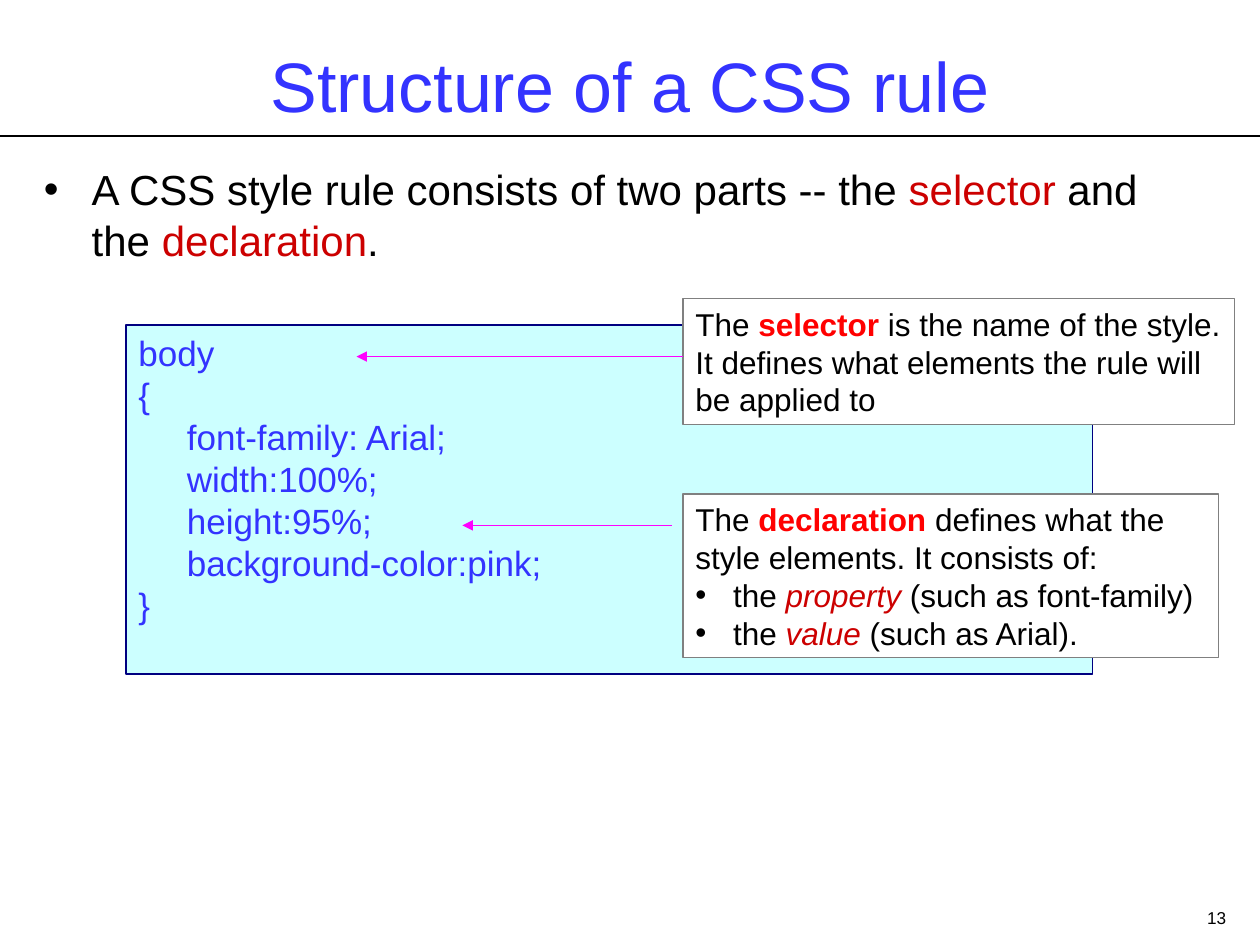
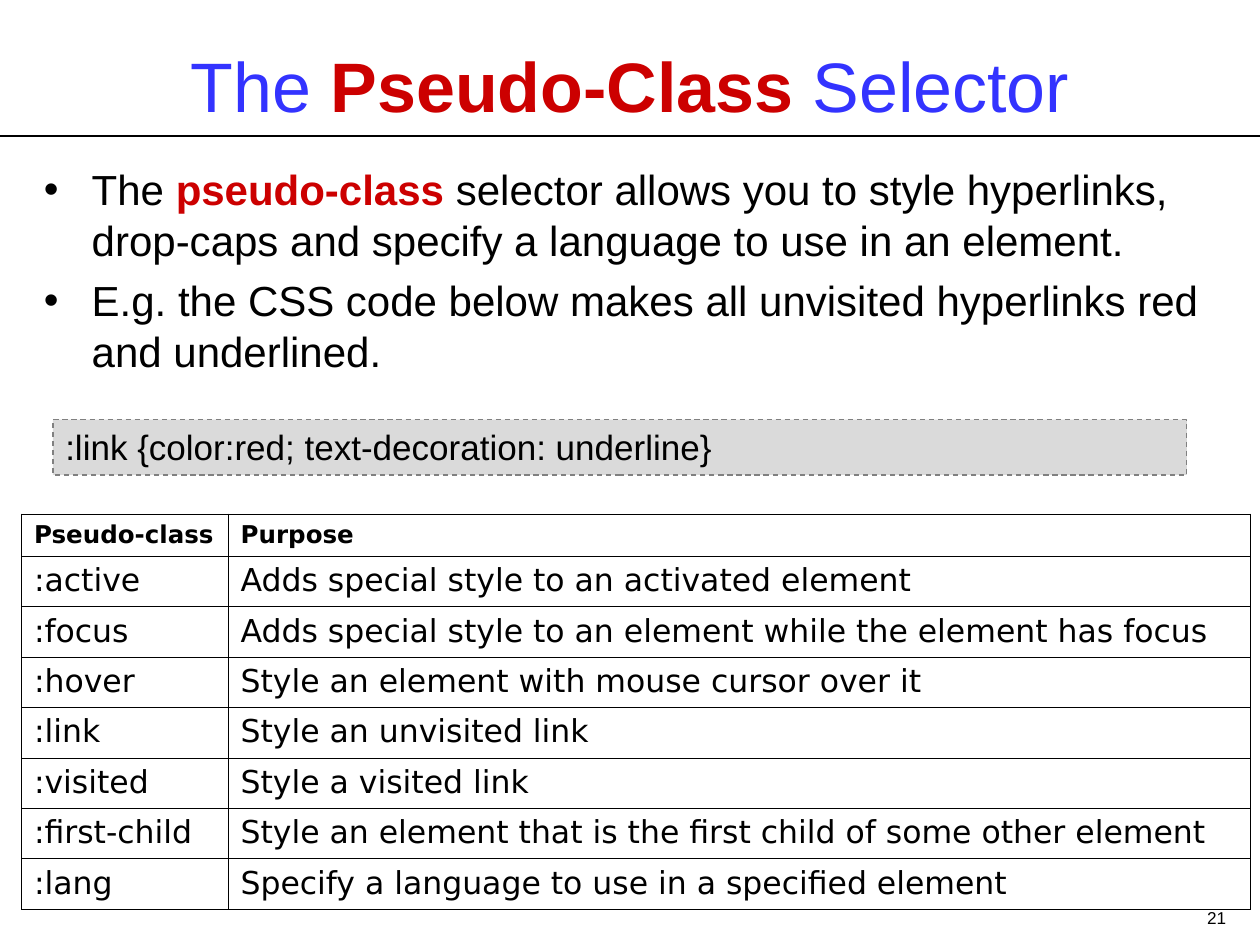
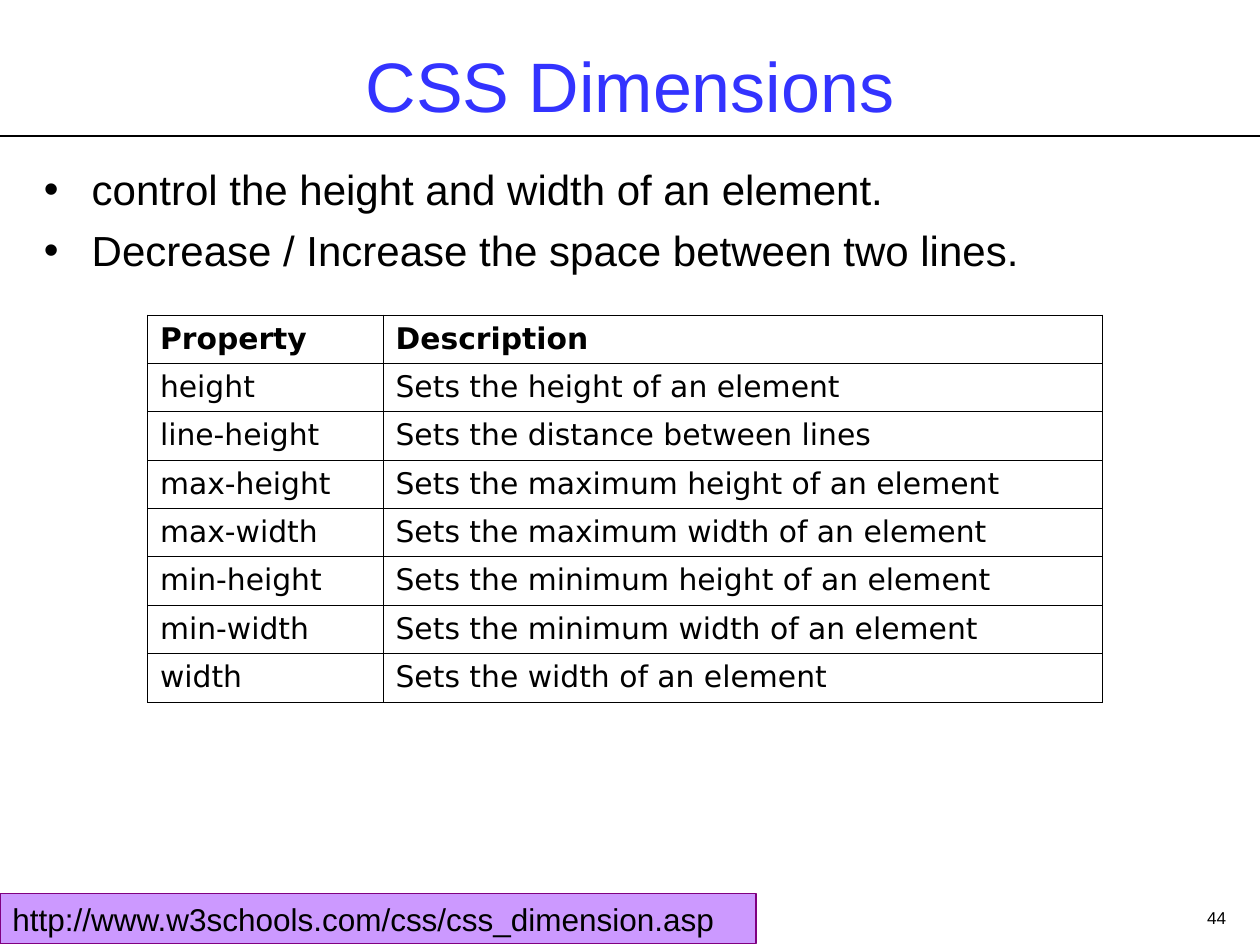
from lxml import etree
from pptx import Presentation
from pptx.dml.color import RGBColor
from pptx.enum import dml, shapes, text
from pptx.oxml import ns
from pptx.util import Inches, Pt

BLACK, WHITE, GRAY = "000000", "FFFFFF", "808080"
BLUE, RED, BRIGHT_RED, MAGENTA = "3333FF", "CC0000", "FF0000", "FF00FF"
BODY_FONT, TABLE_FONT = "Arial", "DejaVu Sans"
BODY_INDENT, CALLOUT_INDENT = 0.38, 0.3
KEY = {"color": RED}
STRONG = {"color": RED, "bold": True}
TERM = {"color": BRIGHT_RED, "bold": True}
PART = {"color": RED, "italic": True}

CSS_RULE = [
    "body",
    "{",
    "     font-family: Arial;",
    "     width:100%;",
    "     height:95%;",
    "     background-color:pink;",
    "}",
]
SELECTOR_NOTE = [
    ["The ", ("selector", TERM), " is the name of the style."],
    "It defines what elements the rule will be applied to",
]
DECLARATION_NOTE = [
    ["The ", ("declaration", TERM), " defines what the style elements. It consists of:"],
]
DECLARATION_PARTS = [
    ["the ", ("property", PART), " (such as font-family)"],
    ["the ", ("value", PART), " (such as Arial)."],
]
PSEUDO_CLASSES = [
    ("Pseudo-class", "Purpose"),
    (":active", "Adds special style to an activated element"),
    (":focus", "Adds special style to an element while the element has focus"),
    (":hover", "Style an element with mouse cursor over it"),
    (":link", "Style an unvisited link"),
    (":visited", "Style a visited link"),
    (":first-child", "Style an element that is the first child of some other element"),
    (":lang", "Specify a language to use in a specified element"),
]
DIMENSIONS = [
    ("Property", "Description"),
    ("height", "Sets the height of an element"),
    ("line-height", "Sets the distance between lines"),
    ("max-height", "Sets the maximum height of an element"),
    ("max-width", "Sets the maximum width of an element"),
    ("min-height", "Sets the minimum height of an element"),
    ("min-width", "Sets the minimum width of an element"),
    ("width", "Sets the width of an element"),
]
SLIDES = [
    {
        "number": 13,
        "title": "Structure of a CSS rule",
        "bullets": [
            ["A CSS style rule consists of two parts -- the ", ("selector", KEY),
             " and the ", ("declaration", KEY), "."],
        ],
        "body": (0.25, 1.25, 9, 5.67),
        "boxes": [
            {"at": (1, 2.58, 7.67, 2.77), "fill": "CCFFFF", "line": "000080",
             "lines": CSS_RULE, "size": 20, "color": BLUE},
            {"at": (5.42, 2.37, 4.38, 1), "fill": WHITE, "line": GRAY,
             "lines": SELECTOR_NOTE, "size": 18, "anchor": "MIDDLE"},
            {"at": (5.42, 3.92, 4.25, 1.3), "fill": WHITE, "line": GRAY,
             "lines": DECLARATION_NOTE, "bullets": DECLARATION_PARTS,
             "size": 18, "anchor": "MIDDLE"},
        ],
        "arrows": [(5.42, 2.83, 2.83), (5.33, 3.67, 4.17)],
    },
    {
        "number": 21,
        "title": ["The ", ("Pseudo-Class", STRONG), " Selector"],
        "bullets": [
            ["The ", ("pseudo-class", STRONG), " selector allows you to style hyperlinks, "
             "drop-caps and specify a language to use in an element."],
            "E.g. the CSS code below makes all unvisited hyperlinks red and underlined.",
        ],
        "body": (0.25, 1.25, 9.5, 5.67),
        "boxes": [
            {"at": (0.42, 3.33, 9, 0.44), "fill": "C0C0C0", "opacity": 58,
             "line": GRAY, "dashed": True, "size": 20,
             "lines": [":link {color:red; text-decoration: underline}"]},
        ],
        "table": {"rows": PSEUDO_CLASSES, "at": (0.17, 4.08), "columns": (1.64, 8.11),
                  "heights": (0.33, 0.4), "sizes": (14, 18)},
    },
    {
        "number": 44,
        "title": "CSS Dimensions",
        "bullets": [
            "control the height and width of an element.",
            "Decrease / Increase the space between two lines.",
        ],
        "body": (0.25, 1.25, 9.17, 1.08),
        "boxes": [
            {"at": (0, 7.09, 6, 0.4), "fill": "CC99FF", "line": "800080", "size": 18,
             "lines": ["http://www.w3schools.com/css/css_dimension.asp"]},
        ],
        "table": {"rows": DIMENSIONS, "at": (1.17, 2.5), "columns": (1.87, 5.71),
                  "heights": (0.38, 0.38), "sizes": (17, 17)},
    },
]


def rgb(color):
    return RGBColor.from_string(color)


def add_element(parent, tag, **attributes):
    return etree.SubElement(parent, ns.qn(tag), attributes)


def add_bullet(paragraph, indent):
    properties = paragraph._p.get_or_add_pPr()
    properties.set("marL", str(Inches(indent)))
    properties.set("indent", str(-Inches(indent)))
    add_element(add_element(properties, "a:buClr"), "a:srgbClr", val=BLACK)
    add_element(properties, "a:buFont", typeface=BODY_FONT)
    add_element(properties, "a:buChar", char="•")


def write_runs(paragraph, content, size, color=BLACK, name=BODY_FONT, bold=False):
    for part in [content] if isinstance(content, str) else content:
        words, changes = (part, {}) if isinstance(part, str) else part
        style = {"name": name, "size": Pt(size), "bold": bold, "color": color, **changes}
        run = paragraph.add_run()
        run.text = words
        run.font.color.rgb = rgb(style.pop("color"))
        for attribute, value in style.items():
            setattr(run.font, attribute, value)


def write_text(frame, lines=(), bullets=(), size=24, color=BLACK, anchor="TOP",
               align="LEFT", indent=BODY_INDENT, gap=0):
    frame.word_wrap = True
    frame.vertical_anchor = text.MSO_ANCHOR[anchor]
    entries = [(line, False) for line in lines] + [(line, True) for line in bullets]
    for index, (content, bulleted) in enumerate(entries):
        paragraph = frame.add_paragraph() if index else frame.paragraphs[0]
        paragraph.alignment = text.PP_ALIGN[align]
        if index and gap:
            paragraph.space_before = Pt(gap)
        if bulleted:
            add_bullet(paragraph, indent)
        write_runs(paragraph, content, size, color)


def add_text(slide, at, **content):
    box = slide.shapes.add_textbox(*map(Inches, at))
    write_text(box.text_frame, **content)


def add_line(slide, start, end, color):
    line = slide.shapes.add_connector(
        shapes.MSO_CONNECTOR.STRAIGHT, *map(Inches, (*start, *end)))
    line.line.color.rgb = rgb(color)
    line.line.width = Pt(0.75)
    add_element(line._element.spPr, "a:effectLst")
    return line


def add_arrow(slide, left_from, left_to, top):
    arrow = add_line(slide, (left_from, top), (left_to, top), MAGENTA)
    add_element(arrow.line._get_or_add_ln(), "a:tailEnd", type="triangle")


def add_box(slide, at, fill, line, opacity=100, dashed=False, **content):
    box = slide.shapes.add_shape(shapes.MSO_SHAPE.RECTANGLE, *map(Inches, at))
    box.shadow.inherit = False
    box.fill.solid()
    box.fill.fore_color.rgb = rgb(fill)
    if opacity < 100:
        color = box._element.spPr.find(".//" + ns.qn("a:srgbClr"))
        add_element(color, "a:alpha", val=str(opacity * 1000))
    box.line.color.rgb = rgb(line)
    box.line.width = Pt(0.75)
    if dashed:
        box.line.dash_style = dml.MSO_LINE.DASH
    write_text(box.text_frame, indent=CALLOUT_INDENT, **content)


def add_borders(cell):
    properties = cell._tc.get_or_add_tcPr()
    for side in ("a:lnL", "a:lnR", "a:lnT", "a:lnB"):
        border = add_element(properties, side, w=str(Pt(0.45)))
        add_element(add_element(border, "a:solidFill"), "a:srgbClr", val=BLACK)


def add_grid(slide, rows, at, columns, heights, sizes):
    row_heights = [heights[0]] + [heights[1]] * (len(rows) - 1)
    extent = (sum(columns), sum(row_heights))
    table = slide.shapes.add_table(
        len(rows), len(columns), *map(Inches, (*at, *extent))).table
    table.first_row = table.horz_banding = False
    for column, width in zip(table.columns, columns):
        column.width = Inches(width)
    for index, (row, height) in enumerate(zip(table.rows, row_heights)):
        row.height = Inches(height)
        header = index == 0
        for cell, words in zip(row.cells, rows[index]):
            add_borders(cell)
            cell.fill.background()
            cell.vertical_anchor = text.MSO_ANCHOR.TOP
            write_runs(cell.text_frame.paragraphs[0], words,
                       sizes[0] if header else sizes[1], name=TABLE_FONT, bold=header)


def add_slide(presentation, content):
    slide = presentation.slides.add_slide(presentation.slide_layouts[6])
    add_line(slide, (0, 1.08), (10, 1.08), BLACK)
    add_text(slide, (7.5, 7.15, 2.33, 0.27), lines=[str(content["number"])],
             size=9.8, align="RIGHT")
    add_text(slide, (0.5, 0.17, 9, 1), lines=[content["title"]], size=40,
             color=BLUE, anchor="MIDDLE", align="CENTER")
    add_text(slide, content["body"], bullets=content["bullets"], gap=6)
    for box in content["boxes"]:
        add_box(slide, **box)
    for arrow in content.get("arrows", []):
        add_arrow(slide, *arrow)
    if "table" in content:
        add_grid(slide, **content["table"])


def main():
    presentation = Presentation()
    presentation.slide_width = Inches(10)
    presentation.slide_height = Inches(7.5)
    for content in SLIDES:
        add_slide(presentation, content)
    presentation.save("out.pptx")


if __name__ == "__main__":
    main()
